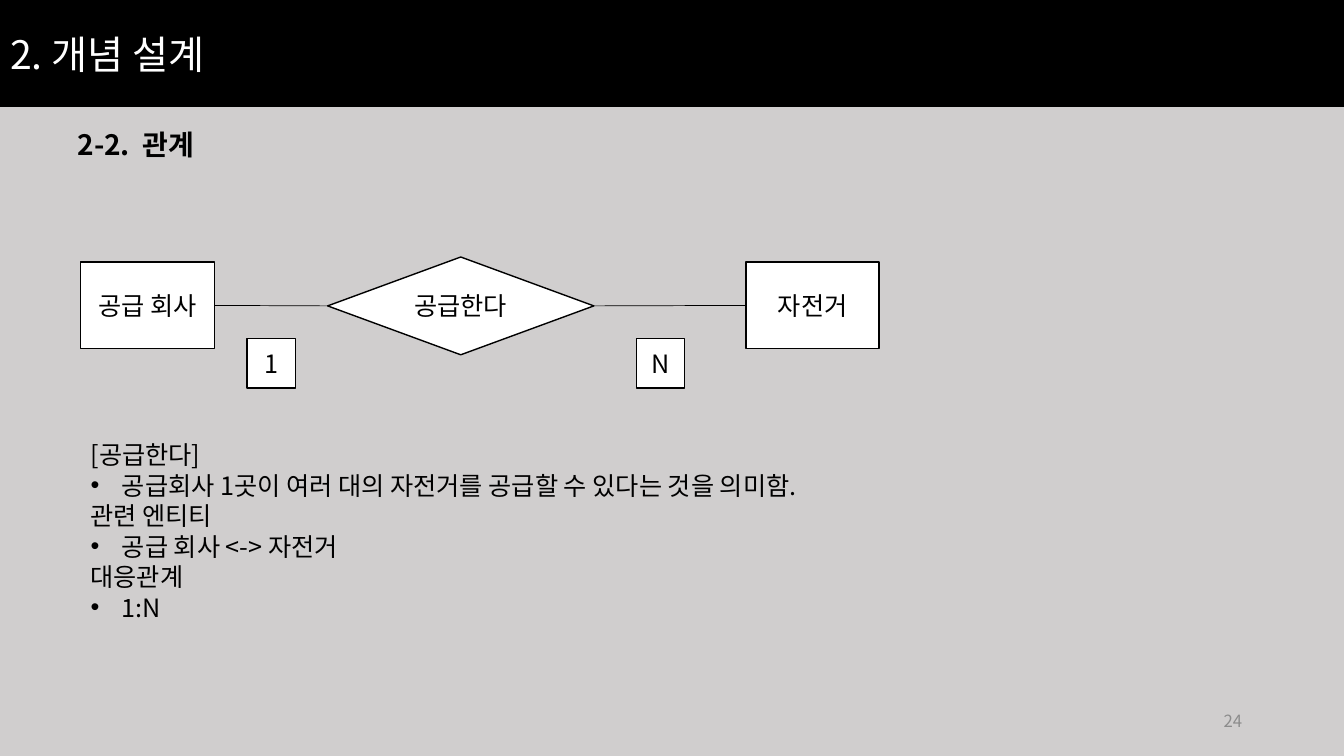
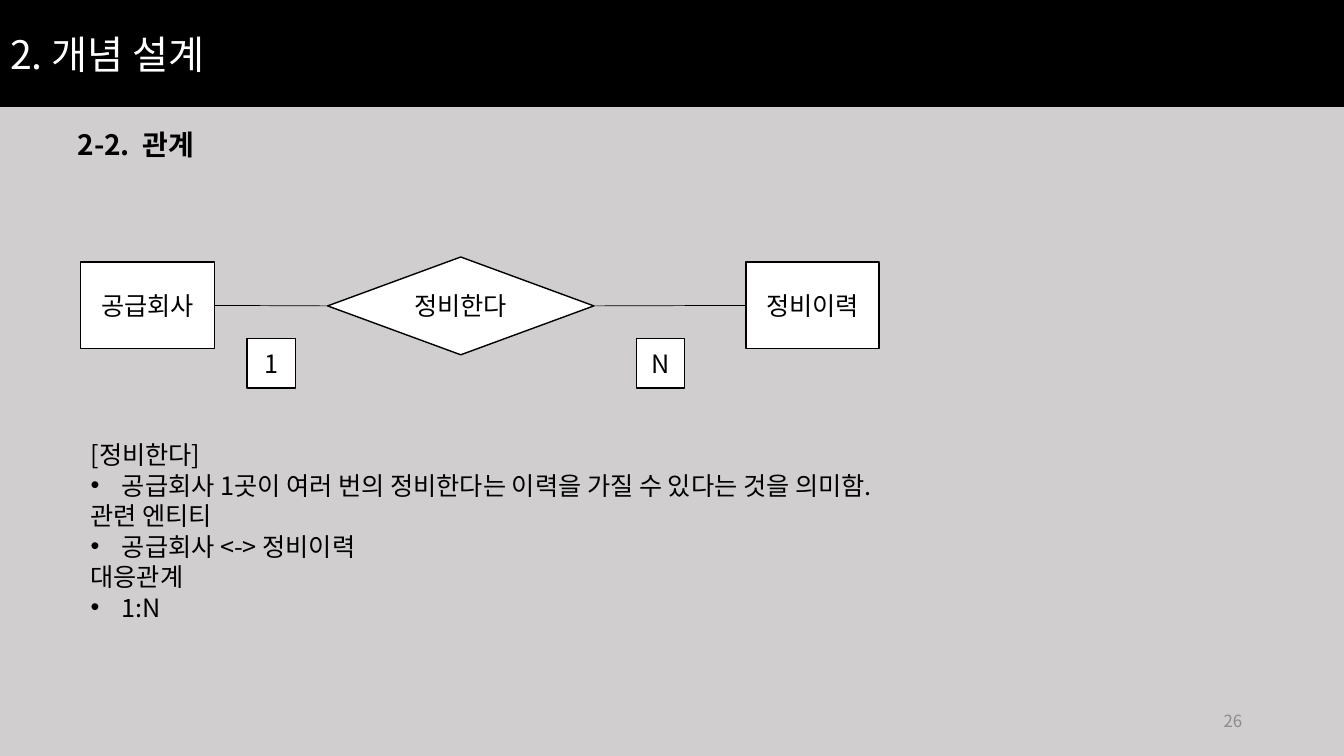
"""Build two entity-relationship slides of a conceptual design deck."""
from dataclasses import dataclass

from lxml import etree
from pptx import Presentation
from pptx import util as u
from pptx.dml.color import RGBColor
from pptx.enum import shapes, text
from pptx.oxml.ns import qn

SCALE = 9144


@dataclass(frozen=True)
class Theme:
    """Hold the colours, type sizes and line widths of the deck."""
    font: str = "Noto Sans CJK KR"
    ink: str = "000000"
    paper: str = "FFFFFF"
    backdrop: str = "D0CECE"
    muted: str = "8C8C8C"
    title: int = 28
    heading: int = 20
    body: int = 18
    footer: int = 12
    leading: float = 1.21
    outline: float = 1
    link: float = 0.5


THEME = Theme()

RELATIONS = [
    {"number": "24", "left": "공급 회사", "verb": "공급한다", "right": "자전거", "width": 792,
     "meaning": "공급회사 1곳이 여러 대의 자전거를 공급할 수 있다는 것을 의미함."},
    {"number": "26", "left": "공급회사", "verb": "정비한다", "right": "정비이력", "width": 868,
     "meaning": "공급회사 1곳이 여러 번의 정비한다는 이력을 가질 수 있다는 것을 의미함."},
]


def px(*lengths):
    """Turn pixel lengths into a list of EMU lengths."""
    return [u.Emu(length * SCALE) for length in lengths]


def apply(target, values):
    """Set each attribute of the target from a dict."""
    for name, value in values.items():
        setattr(target, name, value)


def paint(fill, colour):
    """Give a fill one solid colour."""
    fill.solid()
    fill.fore_color.rgb = RGBColor.from_string(colour)


def write(para, words, size, colour=THEME.ink, bold=False):
    """Add one formatted span, with the same font for Latin and Korean."""
    span = para.add_run()
    span.text = words
    span.font.color.rgb = RGBColor.from_string(colour)
    apply(span.font, {"size": u.Pt(size), "bold": bold, "name": THEME.font})
    etree.SubElement(span.font._element, qn("a:ea"), typeface=THEME.font)


def add_bullet(para):
    """Give a paragraph a hanging round bullet."""
    indent = px(31)[0]
    properties = para._p.get_or_add_pPr()
    properties.set("marL", str(indent))
    properties.set("indent", str(-indent))
    etree.SubElement(properties, qn("a:buFont"), typeface="Arial")
    etree.SubElement(properties, qn("a:buChar"), char="•")


def add_title(page, words):
    """Turn the title placeholder into the band across the top."""
    title = page.shapes.title
    apply(title, dict(zip(("left", "top", "width", "height"), px(0, 0, 1333, 106))))
    paint(title.fill, THEME.ink)
    apply(title.text_frame, {"vertical_anchor": text.MSO_ANCHOR.MIDDLE,
                             "auto_size": text.MSO_AUTO_SIZE.NONE, "word_wrap": True})
    para = title.text_frame.paragraphs[0]
    para.alignment = text.PP_ALIGN.LEFT
    write(para, words, THEME.title, THEME.paper)


def add_text(page, at, lines, size, bold=False):
    """Add a text box from (words, bulleted) lines."""
    frame = page.shapes.add_textbox(*px(*at)).text_frame
    frame.word_wrap = True
    for index, (words, bulleted) in enumerate(lines):
        para = frame.add_paragraph() if index else frame.paragraphs[0]
        para.line_spacing = u.Pt(size * THEME.leading)
        if bulleted:
            add_bullet(para)
        write(para, words, size, bold=bold)


def add_number(page, number):
    """Add the page number at the lower right."""
    frame = page.shapes.add_textbox(*px(942, 695, 300, 40)).text_frame
    apply(frame, {"word_wrap": True, "vertical_anchor": text.MSO_ANCHOR.MIDDLE})
    para = frame.paragraphs[0]
    para.alignment = text.PP_ALIGN.RIGHT
    write(para, number, THEME.footer, THEME.muted)


def add_node(page, at, words, kind=shapes.MSO_SHAPE.RECTANGLE):
    """Add an outlined white shape with centred text."""
    node = page.shapes.add_shape(kind, *px(*at))
    node.shadow.inherit = False
    paint(node.fill, THEME.paper)
    paint(node.line.fill, THEME.ink)
    node.line.width = u.Pt(THEME.outline)
    node.text_frame.vertical_anchor = text.MSO_ANCHOR.MIDDLE
    para = node.text_frame.paragraphs[0]
    para.alignment = text.PP_ALIGN.CENTER
    write(para, words, THEME.body)
    return node


def join(page, start, end):
    """Link the right side of one node to the left side of the next."""
    link = page.shapes.add_connector(shapes.MSO_CONNECTOR.STRAIGHT, 0, 0, 0, 0)
    link.begin_connect(start, 3)
    link.end_connect(end, 1)
    paint(link.line.fill, THEME.ink)
    link.line.width = u.Pt(THEME.link)
    etree.SubElement(link._element.spPr, qn("a:effectLst"))


def add_relation(page, relation):
    """Draw two entities, the relation between them and its cardinality."""
    left = add_node(page, (80, 260, 133, 86), relation["left"])
    verb = add_node(page, (325, 255, 264, 97), relation["verb"], shapes.MSO_SHAPE.DIAMOND)
    right = add_node(page, (740, 260, 132, 86), relation["right"])
    join(page, left, verb)
    join(page, verb, right)
    for x, label in ((245, "1"), (631, "N")):
        add_node(page, (x, 336, 48, 49), label)


def add_page(deck, relation):
    """Add one slide that explains a relation."""
    page = deck.slides.add_slide(deck.slide_layouts.get_by_name("Title Only"))
    add_title(page, "2. 개념 설계")
    add_text(page, (67, 121, 259, 44), [("2-2.  관계", False)], THEME.heading, bold=True)
    add_relation(page, relation)
    add_text(page, (80, 431, relation["width"], 192), [
        (f"[{relation['verb']}]", False),
        (relation["meaning"], True),
        ("관련 엔티티", False),
        (f"{relation['left']} <-> {relation['right']}", True),
        ("대응관계", False),
        ("1:N", True),
    ], THEME.body)
    add_number(page, relation["number"])


def main():
    """Build and save the deck."""
    deck = Presentation()
    deck.slide_width, deck.slide_height = px(1333, 750)
    paint(deck.slide_master.background.fill, THEME.backdrop)
    for relation in RELATIONS:
        add_page(deck, relation)
    deck.save("out.pptx")


if __name__ == "__main__":
    main()
